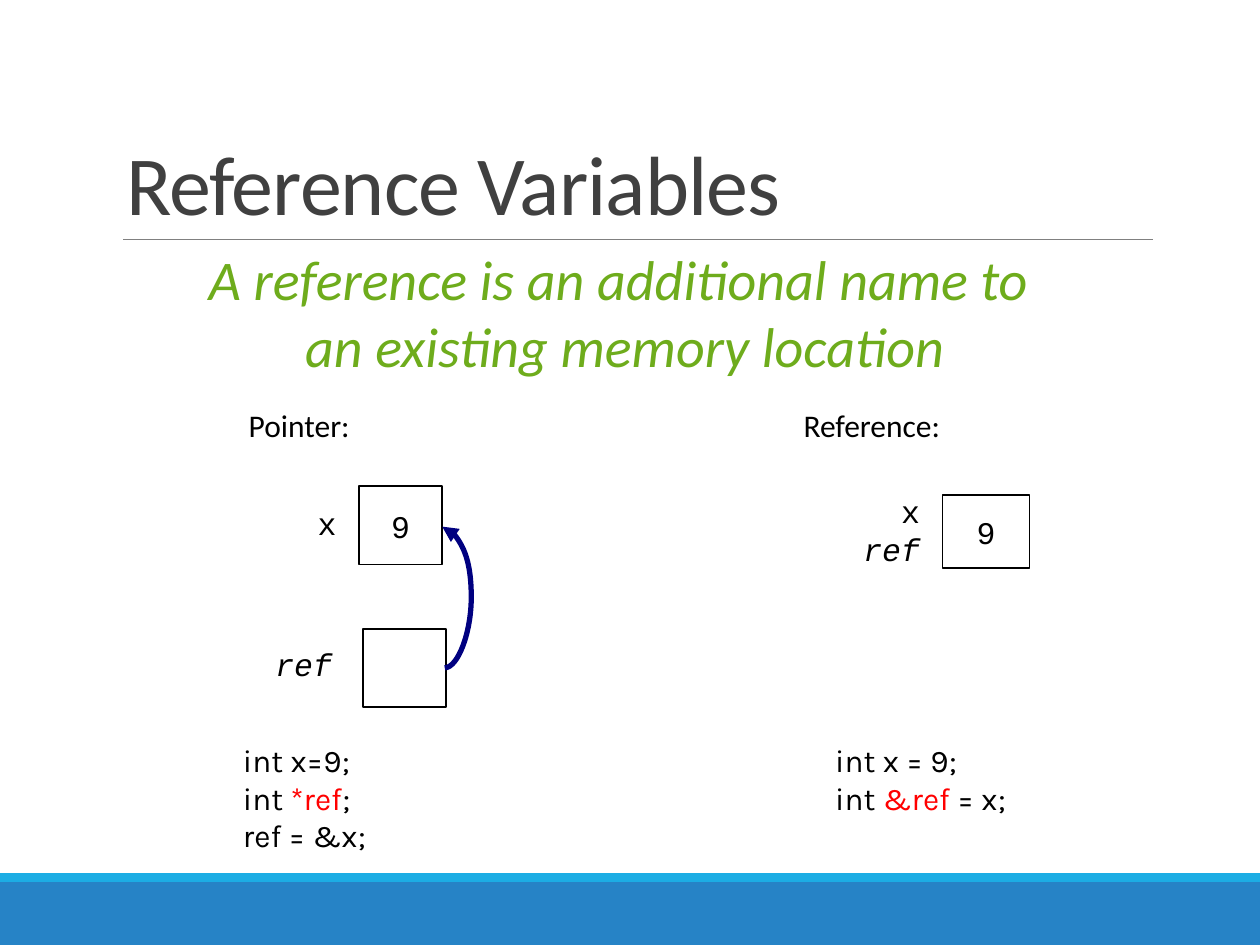
from dataclasses import dataclass

import pptx
import pptx.dml.color
import pptx.enum.shapes
import pptx.enum.text
import pptx.oxml
import pptx.oxml.ns
import pptx.util
from lxml import etree

RGB = pptx.dml.color.RGBColor
Pt = pptx.util.Pt
Align = pptx.enum.text.PP_ALIGN
Anchor = pptx.enum.text.MSO_ANCHOR
AutoSize = pptx.enum.text.MSO_AUTO_SIZE
Shape = pptx.enum.shapes.MSO_SHAPE
Connector = pptx.enum.shapes.MSO_CONNECTOR
qn = pptx.oxml.ns.qn

BLACK = RGB(0x00, 0x00, 0x00)
WHITE = RGB(0xFF, 0xFF, 0xFF)
RED = RGB(0xFF, 0x00, 0x00)
GREEN = RGB(0x6E, 0xAC, 0x1C)
NAVY = RGB(0x00, 0x00, 0x80)
GREY = RGB(0x80, 0x80, 0x80)
TITLE_GREY = RGB(0x40, 0x40, 0x40)
BAND_BLUE = RGB(0x26, 0x83, 0xC6)
BAND_CYAN = RGB(0x1C, 0xAD, 0xE4)

SANS, MONO, CODE = "Calibri", "Courier New", "Karla"

# The slide is a grid of 100 columns by 75 rows
prs = pptx.Presentation()
prs.slide_width = pptx.util.Inches(10)
prs.slide_height = pptx.util.Inches(7.5)
COL = prs.slide_width / 100
ROW = prs.slide_height / 75


@dataclass
class Area:
    col: float
    row: float
    cols: float
    rows: float

    def emu(self) -> tuple:
        return (round(self.col * COL), round(self.row * ROW),
                round(self.cols * COL), round(self.rows * ROW))


@dataclass
class Run:
    text: str
    color: RGB = BLACK
    italic: bool = False


@dataclass
class Label:
    area: Area
    lines: list
    font: str
    align: Align = Align.CENTER
    size: int = 18
    wrap: bool = False


def write(tf, lines: list, font: str, size: int, align: Align) -> None:
    for i, line in enumerate(lines):
        p = tf.add_paragraph() if i else tf.paragraphs[0]
        p.alignment = align
        for part in line:
            r = p.add_run()
            r.text = part.text
            r.font.name = font
            r.font.size = Pt(size)
            r.font.italic = part.italic
            r.font.color.rgb = part.color


def add_label(s, label: Label) -> None:
    tf = s.shapes.add_textbox(*label.area.emu()).text_frame
    tf.word_wrap = label.wrap
    tf.auto_size = AutoSize.SHAPE_TO_FIT_TEXT
    write(tf, label.lines, label.font, label.size, label.align)


def add_rect(s, area: Area, fill: RGB, outlined: bool = False):
    sp = s.shapes.add_shape(Shape.RECTANGLE, *area.emu())
    sp.shadow.inherit = False
    sp.fill.solid()
    sp.fill.fore_color.rgb = fill
    if outlined:
        sp.line.color.rgb = BLACK
        sp.line.width = Pt(1)
    else:
        sp.line.fill.background()
    return sp


def add_cell(s, area: Area, value: str = "") -> None:
    tf = add_rect(s, area, WHITE, outlined=True).text_frame
    tf.vertical_anchor = Anchor.MIDDLE
    tf.word_wrap = False
    if value:
        write(tf, [[Run(value)]], MONO, 18, Align.CENTER)


def add_line(s, kind: Connector, start: tuple, end: tuple, color: RGB, width: float):
    (c1, r1), (c2, r2) = start, end
    cxn = s.shapes.add_connector(kind, round(c1 * COL), round(r1 * ROW),
                                 round(c2 * COL), round(r2 * ROW))
    cxn.line.color.rgb = color
    cxn.line.width = Pt(width)
    etree.SubElement(cxn._element.spPr, qn("a:effectLst"))
    return cxn


def add_curved_arrow(s, start: tuple, end: tuple, bulge: float) -> None:
    """Curve from start to end, bulging to the right by a number of columns."""
    cxn = add_line(s, Connector.CURVE, start, end, NAVY, 3)
    share = -bulge / (start[0] - end[0])
    geom = cxn._element.spPr.find(qn("a:prstGeom"))
    guides = geom.find(qn("a:avLst"))
    if guides is None:
        guides = etree.SubElement(geom, qn("a:avLst"))
    etree.SubElement(guides, qn("a:gd"), name="adj1", fmla=f"val {round(share * 100000)}")
    etree.SubElement(cxn.line._get_or_add_ln(), qn("a:tailEnd"), type="triangle")


def add_title(s, text: str) -> None:
    sp = s.shapes.title
    sp.left, sp.top, sp.width, sp.height = Area(9, 3.1, 82.5, 15.9).emu()
    tf = sp.text_frame
    tf.word_wrap = True
    tf.auto_size = AutoSize.NONE
    tf.vertical_anchor = Anchor.BOTTOM
    write(tf, [[Run(text, TITLE_GREY)]], SANS, 48, Align.LEFT)
    p = tf.paragraphs[0]
    p.line_spacing = 0.85
    p.runs[0].font._element.set("spc", "-50")


def main() -> None:
    s = prs.slides.add_slide(prs.slide_layouts.get_by_name("Title Only"))

    # Footer bands, title and rule
    add_rect(s, Area(0, 70, 100, 5), BAND_BLUE)
    add_rect(s, Area(0, 69.3, 100, 0.7), BAND_CYAN)
    add_line(s, Connector.STRAIGHT, (9.8, 19), (91.5, 19), GREY, 0.5)
    add_title(s, "Reference Variables")

    # Memory cells
    add_cell(s, Area(28.5, 38.6, 6.6, 6.2), "9")
    add_cell(s, Area(28.8, 49.9, 6.6, 6.2))
    add_cell(s, Area(74.8, 39.3, 6.9, 5.8), "9")
    add_curved_arrow(s, (35.3, 53), (35.1, 41.8), bulge=2.1)

    x, ref = Run("x"), Run("ref", italic=True)
    labels = [
        # Definition
        Label(Area(6.7, 18.9, 85.8, 12.7),
              [[Run("A reference is an additional name to ", GREEN, True)],
               [Run("an existing memory location", GREEN, True)]],
              SANS, size=32, wrap=True),
        # Headings
        Label(Area(17.5, 31.7, 12.5, 4.3), [[Run("Pointer:")]], SANS),
        Label(Area(61, 31.7, 16.4, 4.3), [[Run("Reference:")]], SANS),
        # Variable names
        Label(Area(23.9, 39.5, 4.1, 4.3), [[x]], MONO, wrap=True),
        Label(Area(20.3, 50.7, 7.6, 4.3), [[ref]], MONO, wrap=True),
        Label(Area(66.7, 38.6, 7.3, 7.7), [[x], [ref]], MONO, Align.RIGHT, wrap=True),
        # Code
        Label(Area(18.3, 58.3, 12.2, 10),
              [[Run("int x=9;")],
               [Run("int "), Run("*ref", RED), Run(";")],
               [Run("ref = &x;")]], CODE, Align.LEFT),
        Label(Area(65.3, 58.3, 15.8, 7),
              [[Run("int x = 9;")],
               [Run("int "), Run("&ref", RED), Run(" = x;")]], CODE, Align.LEFT),
    ]
    for label in labels:
        add_label(s, label)

    prs.save("out.pptx")


if __name__ == "__main__":
    main()
